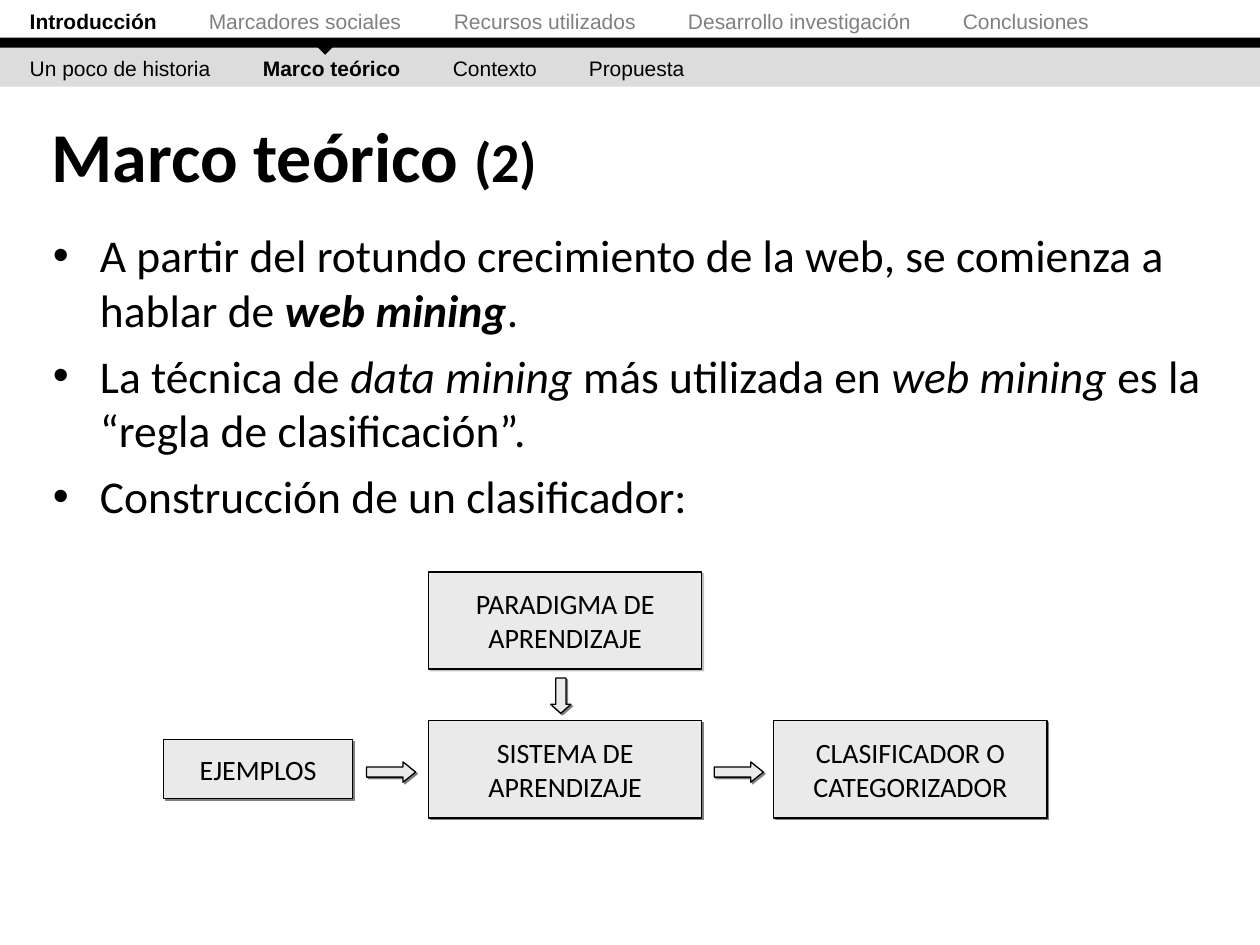
import lxml.etree
import pptx
import pptx.dml.color
import pptx.enum.shapes
import pptx.enum.text
import pptx.oxml.ns
import pptx.util

Cm = pptx.util.Cm
Pt = pptx.util.Pt
RGBColor = pptx.dml.color.RGBColor
Preset = pptx.enum.shapes.MSO_SHAPE
Align = pptx.enum.text.PP_ALIGN
Anchor = pptx.enum.text.MSO_ANCHOR
qn = pptx.oxml.ns.qn

BLACK = RGBColor(0x00, 0x00, 0x00)
GREY = RGBColor(0x80, 0x80, 0x80)
BAND = RGBColor(0xDC, 0xDC, 0xDC)
PANEL = RGBColor(0xEA, 0xEA, 0xEA)

PLAIN = {"bold": False, "italic": False}
BOLD = {"bold": True, "italic": False}
ITALIC = {"bold": False, "italic": True}
BOLD_ITALIC = {"bold": True, "italic": True}


def apply(target, values):
    for name, value in values.items():
        setattr(target, name, value)


def add_xml(parent, tag, **attributes):
    return lxml.etree.SubElement(parent, qn(tag), attributes)


class SlideBuilder:
    nav_font = {"name": "Arial", "size": Pt(12)}
    title_font = {"name": "Calibri", "bold": True}
    body_font = {"name": "Calibri", "size": Pt(26)}
    box_font = {"name": "Calibri", "size": Pt(16)}

    def __init__(self, slide):
        self.slide = slide
        self.diagram = None

    def start_diagram(self):
        self.diagram = self.slide.shapes.add_group_shape()

    def run(self, paragraph, text, color=BLACK, **values):
        run = paragraph.add_run()
        run.text = text
        apply(run.font, values)
        run.font.color.rgb = color

    def place(self, shape, at):
        apply(shape, dict(zip(("left", "top", "width", "height"), map(Cm, at))))

    def solid(self, preset, at, color, rotation=0):
        shape = self.slide.shapes.add_shape(preset, *map(Cm, at))
        shape.shadow.inherit = False
        shape.fill.solid()
        shape.fill.fore_color.rgb = color
        shape.line.fill.background()
        shape.rotation = rotation

    def nav(self, top, entries, tabs, active, idle_color):
        frame = self.slide.shapes.add_textbox(Cm(0), Cm(top), Cm(24.82), Cm(0.76)).text_frame
        apply(frame, {"word_wrap": True, "margin_left": Cm(0.6)})
        paragraph = frame.paragraphs[0]
        stops = add_xml(paragraph._p.get_or_add_pPr(), "a:tabLst")
        for stop in tabs:
            add_xml(stops, "a:tab", pos=str(Cm(stop)), algn="l")
        for index, entry in enumerate(entries):
            current = entry == active
            self.run(paragraph, ("\t" if index else "") + entry,
                     BLACK if current else idle_color, bold=current, **self.nav_font)

    def title(self, at, pieces):
        heading = self.slide.shapes.title
        self.place(heading, at)
        apply(heading.text_frame, {"vertical_anchor": Anchor.MIDDLE, "word_wrap": True,
                                   "auto_size": pptx.enum.text.MSO_AUTO_SIZE.NONE})
        paragraph = heading.text_frame.paragraphs[0]
        paragraph.alignment = Align.LEFT
        for text, size in pieces:
            self.run(paragraph, text, size=Pt(size), **self.title_font)

    def bullets(self, at, points):
        body = self.slide.placeholders[1]
        self.place(body, at)
        frame = body.text_frame
        frame.auto_size = pptx.enum.text.MSO_AUTO_SIZE.NONE
        for index, pieces in enumerate(points):
            paragraph = frame.add_paragraph() if index else frame.paragraphs[0]
            properties = paragraph._p.get_or_add_pPr()
            properties.set("marL", str(Cm(0.95)))
            properties.set("indent", str(Cm(-0.95)))
            paragraph.space_before = Pt(6.5 if index else 0)
            for text, style in pieces:
                self.run(paragraph, text, **style, **self.body_font)

    def panel(self, preset, at, shadow_alpha=100):
        shape = self.diagram.shapes.add_shape(preset, *map(Cm, at))
        shape.fill.solid()
        shape.fill.fore_color.rgb = PANEL
        shape.line.color.rgb = BLACK
        shape.line.width = Pt(0.75)
        shape.shadow.inherit = False
        effects = shape._element.spPr.find(qn("a:effectLst"))
        shadow = add_xml(effects, "a:outerShdw", blurRad="0", dist=str(Pt(1.4)),
                         dir="2700000", algn="ctr", rotWithShape="0")
        tint = add_xml(shadow, "a:srgbClr", val=str(GREY))
        add_xml(tint, "a:alpha", val=str(shadow_alpha * 1000))
        return shape

    def box(self, text, at, shadow_alpha=100):
        frame = self.panel(Preset.RECTANGLE, at, shadow_alpha).text_frame
        apply(frame, {"word_wrap": False, "vertical_anchor": Anchor.MIDDLE})
        paragraph = frame.paragraphs[0]
        paragraph.alignment = Align.CENTER
        for index, line in enumerate(text.split("\n")):
            if index:
                paragraph.add_line_break()
            self.run(paragraph, line, **self.box_font)

    def arrow(self, at, head, rotation=0):
        shape = self.panel(Preset.RIGHT_ARROW, at)
        shape.adjustments[1] = head
        shape.rotation = rotation


def main():
    deck = pptx.Presentation()
    deck.slide_width, deck.slide_height = Cm(25.4), Cm(19.05)
    page = SlideBuilder(deck.slides.add_slide(deck.slide_layouts[1]))

    page.solid(Preset.RECTANGLE, (0, 0.94, 25.4, 0.81), BAND)
    page.solid(Preset.RECTANGLE, (0, 0.76, 25.4, 0.2), BLACK)
    page.nav(0.05, ("Introducción", "Marcadores sociales", "Recursos utilizados",
                    "Desarrollo investigación", "Conclusiones"),
             (3.61, 8.55, 13.27, 18.81), "Introducción", GREY)
    page.nav(0.99, ("Un poco de historia", "Marco teórico", "Contexto", "Propuesta"),
             (4.7, 8.53, 11.27), "Marco teórico", BLACK)
    page.solid(Preset.RIGHT_TRIANGLE, (6.35, 0.61, 0.41, 0.41), BLACK, 315)

    page.bullets((0.81, 4.45, 23.8, 14.4), (
        (("A partir del rotundo crecimiento de la web, se comienza a hablar de ", PLAIN),
         ("web mining", BOLD_ITALIC), (".", PLAIN)),
        (("La técnica de ", PLAIN), ("data mining ", ITALIC),
         ("más utilizada en ", PLAIN), ("web mining ", ITALIC),
         ("es la “regla de clasificación”.", PLAIN)),
        (("Construcción de un clasificador:", PLAIN),),
    ))
    page.title((0.79, 2.18, 24.41, 1.88), (("Marco teórico ", 40), ("(2)", 32)))

    page.start_diagram()
    system_left, system_top, box_size = 8.64, 14.53, (5.51, 1.96)
    page.box("PARADIGMA DE\nAPRENDIZAJE", (system_left, 11.53, *box_size), 50)
    page.box("SISTEMA DE\nAPRENDIZAJE", (system_left, system_top, *box_size))
    page.box("EJEMPLOS", (3.3, 14.91, 3.81, 1.19))
    page.box("CLASIFICADOR O\nCATEGORIZADOR", (15.6, system_top, *box_size))
    page.arrow((7.39, 15.36, 0.99, 0.41), 0.62)
    page.arrow((14.4, 15.36, 0.99, 0.41), 0.62)
    page.arrow((10.95, 13.82, 0.71, 0.41), 0.44, 90)

    deck.save("out.pptx")


if __name__ == "__main__":
    main()
